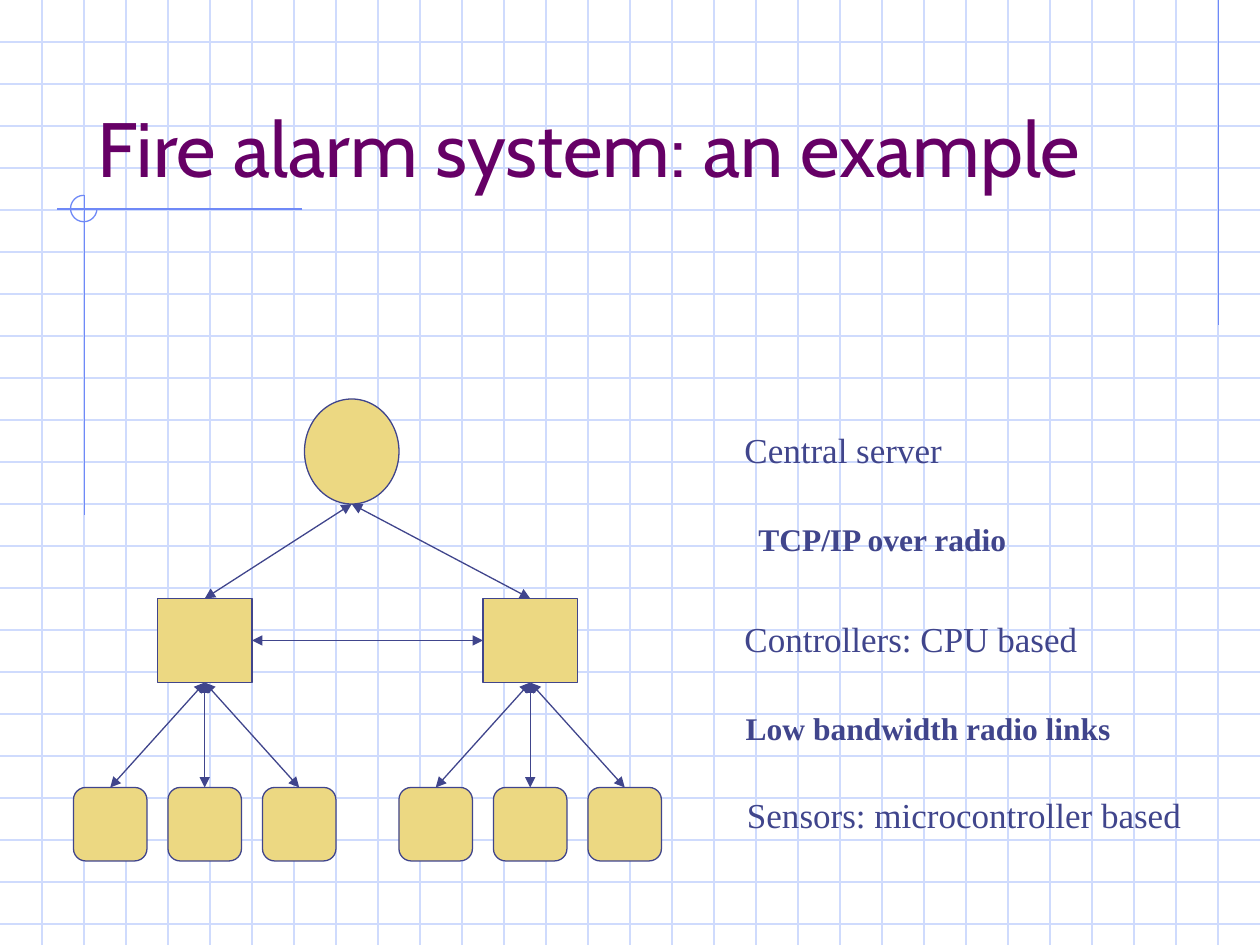
from dataclasses import dataclass

from lxml import etree
from pptx import Presentation
from pptx.dml.color import RGBColor
from pptx.enum.shapes import MSO_CONNECTOR, MSO_SHAPE
from pptx.enum.text import MSO_ANCHOR, MSO_AUTO_SIZE, PP_ALIGN
from pptx.oxml.ns import qn
from pptx.util import Inches, Pt

RECT, ROUND = MSO_SHAPE.RECTANGLE, MSO_SHAPE.ROUNDED_RECTANGLE
OVAL, ARC = MSO_SHAPE.OVAL, MSO_SHAPE.ARC
STRAIGHT = MSO_CONNECTOR.STRAIGHT
TOP, LEFT, BOTTOM, RIGHT = range(4)


@dataclass(frozen=True)
class Theme:
    grid: str = "CFDBFD"
    rule: str = "6F89F7"
    title: str = "660066"
    ink: str = "40458C"
    fill: str = "ECD882"
    head: str = "Cabin"
    body: str = "Times New Roman"
    big: int = 44
    mid: int = 20
    small: int = 18
    line: float = 0.75


# Content: label, left, top, width, bold
TITLE = "Fire alarm system: an example"
LABELS = [
    ("Central server", 5.81, 3.35, 1.77, False),
    ("TCP/IP over radio", 5.92, 4.08, 2.42, True),
    ("Controllers: CPU based", 5.81, 4.85, 2.93, False),
    ("Low bandwidth radio links", 5.82, 5.58, 3.18, True),
    ("Sensors: microcontroller based", 5.83, 6.25, 3.91, False),
]

# Diagram layout, in cells of a twelfth of an inch
CELL = Inches(1) // 12
COLS, ROWS, STEP = 120, 90, 4
SERVER = (29, 38, 9, 10)
HUBS = (15, 46)
HUB_TOP, HUB_W, HUB_H = 57, 9, 8
NODE_TOP, NODE, NODE_GAP = 75, 7, 2
NODES = 3

# Corner rules in inches: start x, start y, end x, end y
RULES = [
    (9.67, 0, 9.67, 2.58),
    (2.4, 1.66, 0.45, 1.66),
    (0.67, 1.55, 0.67, 4.09),
]

theme = Theme()


def color(code):
    return RGBColor.from_string(code)


def stroke(item, code):
    item.line.color.rgb = color(code)
    item.line.width = Pt(theme.line)


def add_line(shapes, ends, code):
    line = shapes.add_connector(STRAIGHT, *ends)
    stroke(line, code)
    etree.SubElement(line._element.spPr, qn("a:effectLst"))
    return line


def add_node(shapes, kind, cells):
    node = shapes.add_shape(kind, *(n * CELL for n in cells))
    node.shadow.inherit = False
    node.fill.solid()
    node.fill.fore_color.rgb = color(theme.fill)
    stroke(node, theme.ink)
    return node


def add_link(shapes, start, side, goal=None, goal_side=None, point=(0, 0)):
    """Two-headed arrow from a node's side to another node or a point."""
    link = add_line(shapes, (0, 0, *point), theme.ink)
    link.begin_connect(start, side)
    if goal is not None:
        link.end_connect(goal, goal_side)
    for tag in ("a:headEnd", "a:tailEnd"):
        etree.SubElement(link.line._get_or_add_ln(), qn(tag), type="triangle")


def style(frame, face, size, code, bold=False):
    font = frame.paragraphs[0].runs[0].font
    font.name, font.size, font.bold = face, Pt(size), bold
    font.color.rgb = color(code)


def add_paper(slide):
    shapes = slide.shapes.add_group_shape().shapes
    wide, high = COLS * CELL, ROWS * CELL
    for y in range(STEP, ROWS, STEP):
        add_line(shapes, (0, y * CELL, wide, y * CELL), theme.grid)
    for x in range(STEP, COLS, STEP):
        add_line(shapes, (x * CELL, 0, x * CELL, high), theme.grid)
    for ends in RULES:
        add_line(shapes, [Inches(n) for n in ends], theme.rule)
    arc = shapes.add_shape(ARC, *(Inches(n) for n in (0.56, 1.55, 0.21, 0.21)))
    arc.adjustments[0] = 0
    arc.adjustments[1] = 162  # 270 degrees
    arc.shadow.inherit = False
    arc.fill.background()
    stroke(arc, theme.rule)


def add_title(slide):
    title = slide.shapes.title
    title.left, title.top = Inches(0.67), Inches(0.33)
    title.width, title.height = Inches(8.83), Inches(1.25)
    frame = title.text_frame
    frame.text = TITLE
    frame.auto_size = MSO_AUTO_SIZE.NONE
    frame.vertical_anchor = MSO_ANCHOR.BOTTOM
    frame.paragraphs[0].alignment = PP_ALIGN.LEFT
    style(frame, theme.head, theme.big, theme.title)
    slide.shapes._spTree.append(title._element)  # in front of the grid


def add_tree(shapes):
    server = add_node(shapes, OVAL, SERVER)
    foot = (server.left + server.width // 2, server.top + server.height)
    hubs = []
    for x in HUBS:
        hub = add_node(shapes, RECT, (x, HUB_TOP, HUB_W, HUB_H))
        hubs.append(hub)
        add_link(shapes, hub, TOP, point=foot)
        pitch = NODE + NODE_GAP
        first = x + (HUB_W - NODES * pitch + NODE_GAP) / 2
        for i in range(NODES):
            cells = (first + i * pitch, NODE_TOP, NODE, NODE)
            node = add_node(shapes, ROUND, cells)
            add_link(shapes, node, TOP, hub, BOTTOM)
    add_link(shapes, hubs[0], RIGHT, hubs[1], LEFT)


def add_labels(shapes):
    for text, x, y, wide, bold in LABELS:
        size = theme.small if bold else theme.mid
        spot = (Inches(n) for n in (x, y, wide, size * 0.022))
        frame = shapes.add_textbox(*spot).text_frame
        frame.word_wrap = True
        frame.text = text
        style(frame, theme.body, size, theme.ink, bold)


def main():
    deck = Presentation()
    deck.slide_width, deck.slide_height = Inches(10), Inches(7.5)
    slide = deck.slides.add_slide(deck.slide_layouts[5])
    add_paper(slide)
    add_title(slide)
    add_tree(slide.shapes)
    add_labels(slide.shapes)
    deck.save("out.pptx")


if __name__ == "__main__":
    main()
